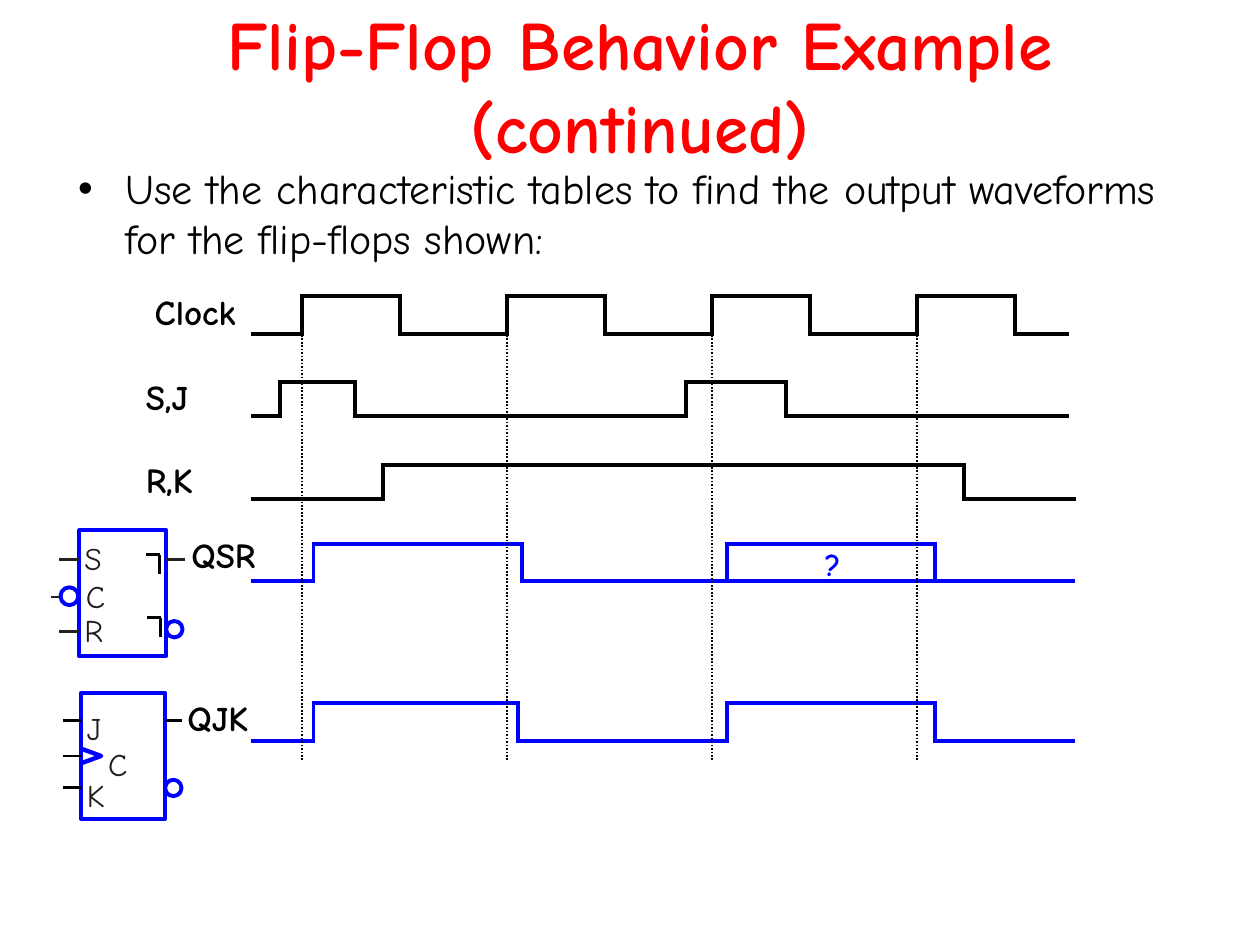
from lxml import etree
from pptx import Presentation
from pptx.dml.color import RGBColor
from pptx.enum.dml import MSO_LINE
from pptx.enum.shapes import MSO_CONNECTOR, MSO_SHAPE
from pptx.enum.text import MSO_ANCHOR, MSO_AUTO_SIZE, PP_ALIGN
from pptx.oxml.ns import qn
from pptx.util import Cm, Pt

LINE = MSO_CONNECTOR.STRAIGHT
RECT, OVAL = MSO_SHAPE.RECTANGLE, MSO_SHAPE.OVAL
DOTS = MSO_LINE.ROUND_DOT
MIDDLE, CENTER = MSO_ANCHOR.MIDDLE, PP_ALIGN.CENTER
FIXED = MSO_AUTO_SIZE.NONE
FONT = "Comic Neue"
COLORS = {"title": "FF0000", "ink": "000000", "pin": "231F20",
          "blue": "0000FF", "white": "FFFFFF"}
LEFT = 5.05     # start of every waveform
FIRST = 1.04    # first rising clock edge, from LEFT
PERIOD = 4.13
PULSE = 1.98
CAP = 0.04      # half a stroke, closes the corners


def color(key):
    """Return a named colour."""
    return RGBColor.from_string(COLORS[key])


def style(para, size, key, bold=False):
    """Set the font of a paragraph."""
    font = para.font
    font.name, font.size, font.bold = FONT, Pt(size), bold
    font.color.rgb = color(key)


def stroke(shape, key, width):
    """Set the outline of a shape."""
    shape.line.color.rgb = color(key)
    shape.line.width = Pt(width)


def line(shapes, start, end, key="ink", width=2.25):
    """Draw a straight line between two points."""
    link = shapes.add_connector(LINE, *map(Cm, start + end))
    stroke(link, key, width)
    etree.SubElement(link._element.spPr, qn("a:effectLst"))
    return link


def label(shapes, text, box, size=20, key="ink", bold=True, tight=False):
    """Place a short text in a box."""
    frame = shapes.add_textbox(*map(Cm, box)).text_frame
    frame.word_wrap = not tight
    if tight:
        frame.margin_left = frame.margin_right = 0
        frame.margin_top = frame.margin_bottom = 0
    para = frame.paragraphs[0]
    para.text = text
    style(para, size, key, bold)


def outline(shapes, kind, box, fill=None):
    """Draw a blue outlined shape."""
    shape = shapes.add_shape(kind, *map(Cm, box))
    shape.shadow.inherit = False
    if fill:
        shape.fill.solid()
        shape.fill.fore_color.rgb = color(fill)
    else:
        shape.fill.background()
    stroke(shape, "blue", 2.25)


def header(slide):
    """Fill the title and the bullet text."""
    title, body = slide.shapes.title, slide.placeholders[1]
    places = (
        (title, (1.8, 0.28, 22.2, 2.84), 39.6, "title",
         "Flip-Flop Behavior Example (continued)"),
        (body, (1.32, 3.15, 22.5, 13.97), 24, "ink",
         "Use the characteristic tables to find the output waveforms "
         "for the flip-flops shown:"))
    for shape, box, size, key, text in places:
        shape.left, shape.top, shape.width, shape.height = map(Cm, box)
        frame = shape.text_frame
        frame.auto_size = FIXED
        para = frame.paragraphs[0]
        para.text = text
        style(para, size, key, shape is title)
    title.text_frame.vertical_anchor = MIDDLE
    title.text_frame.paragraphs[0].alignment = CENTER
    props = body.text_frame.paragraphs[0]._p.get_or_add_pPr()
    props.set("marL", str(Cm(0.95)))
    props.set("indent", str(-Cm(0.95)))


def wave(slide, box, edges, key="ink"):
    """Draw a signal that starts low and toggles at each edge."""
    left, top, width, height = box
    shapes = slide.shapes.add_group_shape().shapes
    stops = [0, *edges, width]
    for i, (start, end) in enumerate(zip(stops, stops[1:])):
        y = top if i % 2 else top + height
        line(shapes, (left + start - CAP * (i > 0), y),
             (left + end + CAP * (end < width), y), key)
        if end < width:
            line(shapes, (left + end, top), (left + end, top + height), key)


def chip(slide, box, pins, ink, out, ball):
    """Draw a flip-flop body with its pins and inverted output."""
    left, top, width, height = box
    shapes = slide.shapes.add_group_shape().shapes
    outline(shapes, RECT, box)
    for text, x, y, drop, start, end in pins:
        line(shapes, (left + start, top + y), (left + end, top + y), *ink)
        label(shapes, text, (left + x, top + drop, 0.45, 0.76),
              18, "pin", False, True)
    y = top + pins[0][2]
    line(shapes, (left + width, y), (left + out, y), *ink)
    outline(shapes, OVAL, (left + width, top + ball, 0.33, 0.33), "white")
    return shapes


def latch(slide, box):
    """Draw the master-slave SR flip-flop."""
    left, top = box[:2]
    pins = (("S", 0.1, 0.59, 0.18, -0.41, 0),
            ("C", 0.13, 1.35, 0.94, -0.58, -0.38),
            ("R", 0.1, 2.04, 1.63, -0.41, 0))
    shapes = chip(slide, box, pins, ("pin", 1.25), 2.13, 1.83)
    outline(shapes, OVAL, (left - 0.38, top + 1.15, 0.36, 0.36), "white")
    for x, y in ((1.61, 0.49), (1.63, 1.76)):
        x, y = left + x, top + y
        line(shapes, (x - 0.26, y), (x + 0.02, y), "ink", 1.5)
        line(shapes, (x, y), (x, y + 0.39), "ink", 1.5)


def toggle(slide, box):
    """Draw the edge-triggered JK flip-flop."""
    left, top = box[:2]
    pins = (("J", 0.12, 0.56, 0.33, -0.36, 0),
            ("C", 0.55, 1.27, 1.04, -0.36, 0),
            ("K", 0.12, 1.91, 1.68, -0.36, 0))
    shapes = chip(slide, box, pins, ("ink", 1.5), 2.03, 1.75)
    y = top + 1.27
    pen = shapes.build_freeform(Cm(left), Cm(y - 0.15))
    pen.add_line_segments([(Cm(left + 0.41), Cm(y)),
                           (Cm(left), Cm(y + 0.15))], close=False)
    mark = pen.convert_to_shape()
    mark.shadow.inherit = False
    mark.fill.background()
    stroke(mark, "blue", 2.5)


def chart(slide):
    """Draw the timing diagram with labels and clock guides."""
    rises = [FIRST + PERIOD * i for i in range(4)]
    clock = [x for rise in rises for x in (rise, rise + PULSE)]
    rows = (
        ("Clock", 2.87, 5.74, 5.97, 0.76, 16.5, clock, "ink"),
        ("S,J", 2.69, 7.44, 7.7, 0.69, 16.5, (0.59, 2.11, 8.77, 10.8), "ink"),
        ("R,K", 2.69, 9.12, 9.37, 0.69, 16.64, (2.67, 14.38), "ink"),
        ("QSR", 3.61, 10.64, 10.97, 0.74, 16.62,
         (1.27, 5.47, 9.61, 13.8), "blue"),
        ("QJK", 3.53, 13.92, 14.17, 0.76, 16.62,
         (1.27, 5.39, 9.61, 13.8), "blue"))
    for text, x, y, top, height, width, edges, key in rows:
        wave(slide, (LEFT, top, width, height), edges, key)
        label(slide.shapes, text, (x, y, 2.31, 1.1))
    line(slide.shapes, (LEFT + 9.61, 11.71), (LEFT + 13.8, 11.71), "blue")
    label(slide.shapes, "?", (16.38, 10.87, 1.73, 1.02), 18, "blue")
    for rise in rises:
        guide = line(slide.shapes, (LEFT + rise, 6.75),
                     (LEFT + rise, 15.32), "ink", 1)
        guide.line.dash_style = DOTS


def main():
    """Build and save the slide."""
    deck = Presentation()
    deck.slide_width, deck.slide_height = Cm(25.4), Cm(19.05)
    slide = deck.slides.add_slide(deck.slide_layouts[1])
    header(slide)
    latch(slide, (1.6, 10.69, 1.75, 2.54))
    toggle(slide, (1.63, 13.97, 1.7, 2.54))
    chart(slide)
    deck.save("out.pptx")


main()
